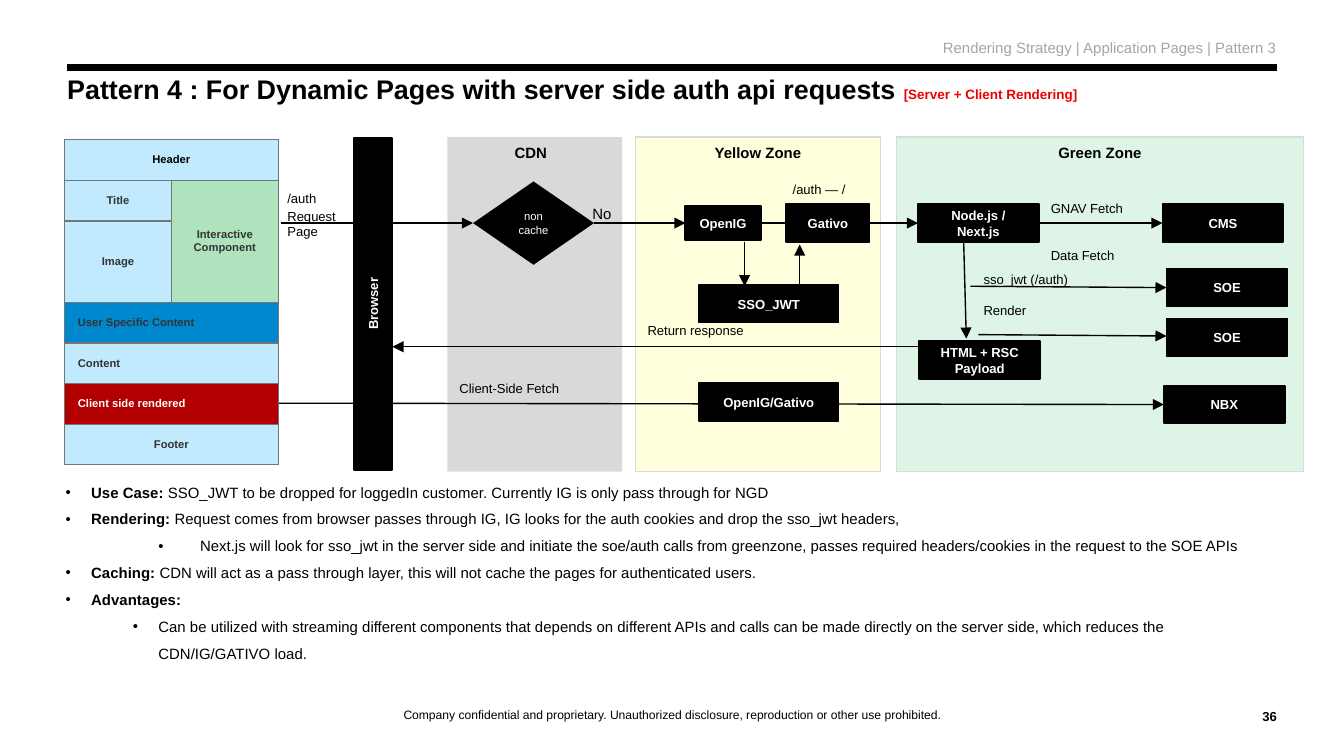
from lxml import etree
from pptx import Presentation
from pptx.dml.color import RGBColor
from pptx.enum.shapes import MSO_CONNECTOR, MSO_SHAPE
from pptx.enum.text import MSO_ANCHOR, PP_ALIGN
from pptx.oxml.ns import qn
from pptx.util import Inches, Pt

LEFT, CENTER, RIGHT = PP_ALIGN.LEFT, PP_ALIGN.CENTER, PP_ALIGN.RIGHT
TOP, MIDDLE, BOTTOM = MSO_ANCHOR.TOP, MSO_ANCHOR.MIDDLE, MSO_ANCHOR.BOTTOM
RECT, DIAMOND = MSO_SHAPE.RECTANGLE, MSO_SHAPE.DIAMOND

BLACK = RGBColor(0x00, 0x00, 0x00)
WHITE = RGBColor(0xFF, 0xFF, 0xFF)
RED = RGBColor(0xEE, 0x00, 0x00)
GREY = RGBColor(0xA5, 0xA5, 0xA5)
LANE_GREY = RGBColor(0xD8, 0xDA, 0xDA)
YELLOW = RGBColor(0xFF, 0xFF, 0x00)
GREEN = RGBColor(0x00, 0xAC, 0x3E)
BORDER = RGBColor(0x74, 0x76, 0x76)
INK = RGBColor(0x33, 0x33, 0x33)
SKY = RGBColor(0xC2, 0xEA, 0xFF)
MINT = RGBColor(0xAF, 0xE3, 0xBE)
BLUE = RGBColor(0x00, 0x88, 0xCE)
CRIMSON = RGBColor(0xB2, 0x00, 0x00)

# Grid, in inches
W, MARGIN = 10, 0.5
H = W * 9 / 16
LANE_TOP, LANE_H = 1.02, 2.49
BOX_H = 0.28
NARROW, MID, WIDE = 0.62, 0.9, 1.04
GATE_X, SERVER_X, SERVICE_X = 5.2, 6.83, 8.66
REQUEST_Y, RETURN_Y, CLIENT_Y = 1.66, 2.58, 3.0
SOE_Y = (2.14, 2.51)

# Lanes: left, width, fill, opacity in percent, border, heading
LANES = [
    (3.33, 1.3, LANE_GREY, 100, None, None),
    (6.67, 3.03, GREEN, 13, LANE_GREY, "Green Zone"),
    (4.73, 1.82, YELLOW, 13, LANE_GREY, "Yellow Zone"),
]

# Nodes: text, left, centre line, width, height
NODES = [
    ("OpenIG", 5.1, REQUEST_Y, 0.56, 0.25),
    ("Gativo", 5.85, REQUEST_Y, NARROW, BOX_H),
    ("SSO_JWT", GATE_X, 2.26, WIDE, BOX_H),
    ("OpenIG/Gativo", GATE_X, 2.99, WIDE, BOX_H),
    ("Node.js / Next.js", SERVER_X, REQUEST_Y, MID, BOX_H),
    ("HTML + RSC Payload", SERVER_X + 0.01, 2.68, MID, BOX_H),
    ("CMS", SERVICE_X - 0.01, REQUEST_Y, MID, BOX_H),
    ("SOE", SERVICE_X + 0.02, SOE_Y[0], MID, BOX_H),
    ("SOE", SERVICE_X + 0.02, SOE_Y[1], MID, BOX_H),
    ("NBX", SERVICE_X, 3.01, MID, BOX_H),
]

# Arrows: x1, y1, x2, y2
ARROWS = [
    (2.09, REQUEST_Y, 3.52, REQUEST_Y),
    (4.42, REQUEST_Y, 5.1, REQUEST_Y),
    (5.66, REQUEST_Y, SERVER_X, REQUEST_Y),
    (7.72, REQUEST_Y, 8.65, REQUEST_Y),
    (7.17, 1.78, 7.19, 2.52),
    (SERVER_X, RETURN_Y, 2.92, RETURN_Y),
    (2.07, CLIENT_Y, SERVICE_X, CLIENT_Y + 0.01),
    (7.22, 2.13, 8.68, SOE_Y[0]),
    (7.28, 2.49, 8.68, 2.5),
    (5.54, 1.8, 5.54, 2.13),
    (5.95, 2.14, 5.95, 1.82),
]

# Labels: text, left, top, width, size, bold
LABELS = [
    ("/auth", 2.04, 1.37, 0.9, 7, False),
    ("Request Page", 2.04, 1.5, 0.62, 7, False),
    ("CDN", 3.73, LANE_TOP, 0.45, 8, True),
    ("No", 4.31, 1.47, 0.46, 8, False),
    ("/auth — /", 5.8, 1.3, 0.9, 7, False),
    ("Return response", 4.72, 2.35, 1.46, 7, False),
    ("Client-Side Fetch", 3.32, 2.78, 1.46, 7, False),
    ("GNAV Fetch", 7.72, 1.44, 1.42, 7, False),
    ("Data Fetch", 7.72, 1.79, 1.42, 7, False),
    ("sso_jwt (/auth)", 7.22, 1.97, 0.9, 7, False),
    ("Render", 7.22, 2.2, 0.56, 7, False),
]

# Page layout table: row, column, row span, column span, text, fill, ink, align
TABLE_W, TABLE_H = 1.59, 2.42
ROW_UNITS = [1, 1, 2, 1, 1, 1, 1]
CELLS = [
    (0, 0, 1, 2, "Header", SKY, BLACK, CENTER),
    (1, 0, 1, 1, "Title", SKY, INK, CENTER),
    (1, 1, 2, 1, "Interactive Component", MINT, INK, CENTER),
    (2, 0, 1, 1, "Image", SKY, INK, CENTER),
    (3, 0, 1, 2, "User Specific Content", BLUE, INK, LEFT),
    (4, 0, 1, 2, "Content", SKY, INK, LEFT),
    (5, 0, 1, 2, "Client side rendered", CRIMSON, WHITE, LEFT),
    (6, 0, 1, 2, "Footer", SKY, INK, CENTER),
]

# Notes: level, left margin, hanging indent, bold lead, text
NOTES = [
    (0, 0.19, 0.19, "Use Case: ", "SSO_JWT to be dropped for loggedIn customer. "
     "Currently IG is only pass through for NGD"),
    (0, 0.19, 0.19, "Rendering: ", "Request comes from browser passes through IG, "
     "IG looks for the auth cookies and drop the sso_jwt headers,"),
    (1, 1, 0.31, "", "Next.js will look for sso_jwt in the server side and initiate the "
     "soe/auth calls from greenzone, passes required headers/cookies in the request to the SOE APIs"),
    (0, 0.19, 0.19, "Caching: ", "CDN will act as a pass through layer, "
     "this will not cache the pages for authenticated users."),
    (0, 0.19, 0.19, "Advantages:", ""),
    (1, 0.69, 0.19, "", "Can be utilized with streaming different components that depends on "
     "different APIs and calls can be made directly on the server side, "
     "which reduces the CDN/IG/GATIVO load."),
]

prs = Presentation()
prs.slide_width, prs.slide_height = Inches(W), Inches(H)
s = prs.slides.add_slide(prs.slide_layouts[6])


def write(p, text, size=7, color=BLACK, bold=False, align=LEFT, spacing=None):
    p.alignment = align
    if spacing:
        p.line_spacing = spacing
    r = p.add_run()
    r.text = text
    r.font.name, r.font.size, r.font.bold = "Arial", Pt(size), bold
    r.font.color.rgb = color


def text_box(x, y, w, h, inset=True, anchor=TOP):
    tf = s.shapes.add_textbox(*map(Inches, (x, y, w, h))).text_frame
    tf.word_wrap, tf.vertical_anchor = True, anchor
    if not inset:
        tf.margin_left = tf.margin_right = tf.margin_top = tf.margin_bottom = 0
    return tf


def block(kind, x, y, w, h, fill, line=None, line_w=1, anchor=MIDDLE):
    sp = s.shapes.add_shape(kind, *map(Inches, (x, y, w, h)))
    sp.shadow.inherit = False
    sp.fill.solid()
    sp.fill.fore_color.rgb = fill
    if line is None:
        sp.line.fill.background()
    else:
        sp.line.color.rgb, sp.line.width = line, Pt(line_w)
    sp.text_frame.word_wrap, sp.text_frame.vertical_anchor = True, anchor
    return sp


def connect(x1, y1, x2, y2, width=0.75, arrow=True):
    c = s.shapes.add_connector(MSO_CONNECTOR.STRAIGHT, *map(Inches, (x1, y1, x2, y2)))
    c.line.color.rgb, c.line.width = BLACK, Pt(width)
    if arrow:
        etree.SubElement(c.line._get_or_add_ln(), qn("a:tailEnd"), type="triangle")
    etree.SubElement(c._element.spPr, qn("a:effectLst"))


# Header, title and footer
connect(MARGIN, 0.5, W - MARGIN, 0.5, 3.75, arrow=False)
write(text_box(MARGIN, 0.29, 9, 0.19, False).paragraphs[0],
      "Rendering Strategy | Application Pages | Pattern 3", 8, GREY, align=RIGHT)
p = text_box(MARGIN, 0.59, 7.75, 0.23, False).paragraphs[0]
write(p, "Pattern 4 : For Dynamic Pages with server side auth api requests ", 14.4,
      bold=True, spacing=0.8)
write(p, "[Server + Client Rendering]", 7.2, RED, True)
write(text_box(1.11, 5.04, 7.79, 0.33, False, BOTTOM).paragraphs[0],
      "Company confidential and proprietary. Unauthorized disclosure, reproduction or "
      "other use prohibited.", 6.5, align=CENTER, spacing=1.14)
write(text_box(9.25, 5.14, 0.25, 0.25, False, BOTTOM).paragraphs[0], "36", bold=True, align=RIGHT)

# Lanes
for x, w, fill, opacity, line, heading in LANES:
    sp = block(RECT, x, LANE_TOP, w, LANE_H, fill, line, 0.75, TOP)
    if heading:
        color = sp._element.spPr.find(qn("a:solidFill"))[0]
        etree.SubElement(color, qn("a:alpha"), val=str(opacity * 1000))
        write(sp.text_frame.paragraphs[0], heading, 8, bold=True, align=CENTER)

# Browser bar, arrows and nodes
sp = block(RECT, 1.54, 2.12, 2.47, BOX_H, BLACK, BLACK)
sp.rotation = 270
write(sp.text_frame.paragraphs[0], "Browser", color=WHITE, bold=True, align=CENTER)
for arrow in ARROWS:
    connect(*arrow)
for text, x, mid, w, h in NODES:
    sp = block(RECT, x, mid - h / 2, w, h, BLACK, BLACK)
    write(sp.text_frame.paragraphs[0], text, color=WHITE, bold=True, align=CENTER)
tf = block(DIAMOND, 3.52, 1.35, MID, 0.62, BLACK).text_frame
for p, word in ((tf.paragraphs[0], "non"), (tf.add_paragraph(), "cache")):
    write(p, word, 6, WHITE, align=CENTER)
for text, x, y, w, size, bold in LABELS:
    write(text_box(x, y, w, 0.22).paragraphs[0], text, size, bold=bold)

# Page layout table
table = s.shapes.add_table(len(ROW_UNITS), 2, Inches(0.48), Inches(1.04),
                           Inches(TABLE_W), Inches(TABLE_H)).table
table.first_row = table.horz_banding = False
for col in table.columns:
    col.width = Inches(TABLE_W / 2)
for row, units in zip(table.rows, ROW_UNITS):
    row.height = Inches(TABLE_H * units / sum(ROW_UNITS))
for r, c, rows, cols, text, fill, ink, align in CELLS:
    cell = table.cell(r, c)
    if rows * cols > 1:
        cell.merge(table.cell(r + rows - 1, c + cols - 1))
    cell.vertical_anchor = MIDDLE
    write(cell.text_frame.paragraphs[0], text, 6, ink, True, align)
    for part in (table.cell(r + i, c + j) for i in range(rows) for j in range(cols)):
        tcPr = part._tc.get_or_add_tcPr()
        for side in ("a:lnL", "a:lnR", "a:lnT", "a:lnB"):
            ln = etree.SubElement(tcPr, qn(side), w=str(Pt(0.75)))
            etree.SubElement(etree.SubElement(ln, qn("a:solidFill")),
                             qn("a:srgbClr"), val=str(BORDER))
        part.fill.solid()
        part.fill.fore_color.rgb = fill

# Notes
tf = text_box(0.39, 3.48, 8.97, 1.85)
for i, (level, margin, hang, lead, text) in enumerate(NOTES):
    p = tf.add_paragraph() if i else tf.paragraphs[0]
    p.level = level
    pPr = p._p.get_or_add_pPr()
    pPr.set("marL", str(Inches(margin)))
    pPr.set("indent", str(-Inches(hang)))
    etree.SubElement(etree.SubElement(pPr, qn("a:buClr")), qn("a:srgbClr"), val=str(BLACK))
    etree.SubElement(pPr, qn("a:buFont"), typeface="Arial")
    etree.SubElement(pPr, qn("a:buChar"), char="•")
    for part, bold in ((lead, True), (text, False)):
        if part:
            write(p, part, 8, bold=bold, spacing=1.5)

prs.save("out.pptx")
